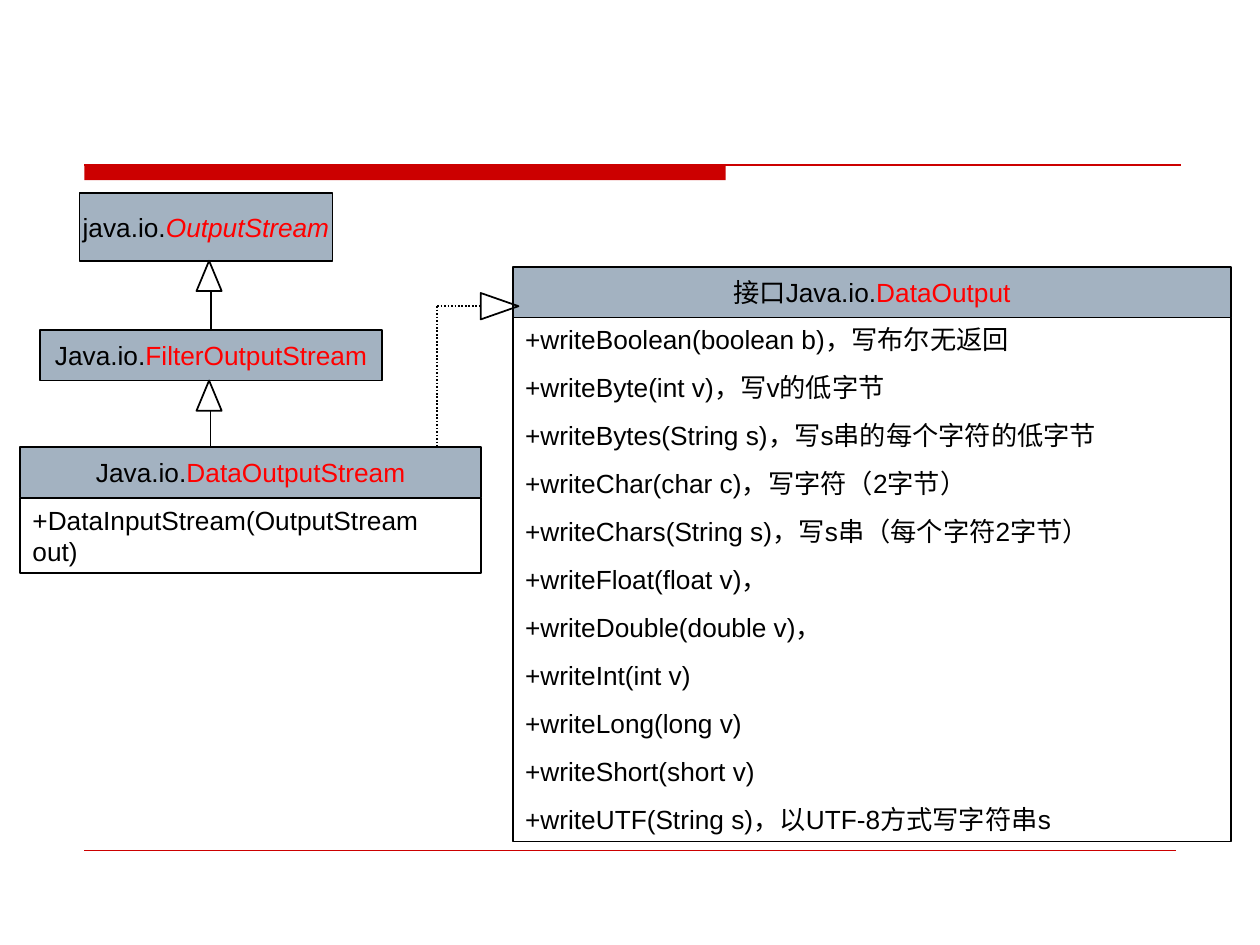
from pptx import Presentation
from pptx.dml.color import RGBColor
from pptx.enum.dml import MSO_LINE_DASH_STYLE as Dash
from pptx.enum.shapes import MSO_CONNECTOR as Link, MSO_SHAPE as Shape
from pptx.enum.text import MSO_ANCHOR as Anchor, PP_ALIGN as Align
from pptx.util import Inches, Pt

# Content: name -> (left, top, width, header height, title spans, body height, members)
CLASSES = {
    "output": (0.63, 1.53, 2.01, 0.54,
               [("java.io.", "black", False), ("OutputStream", "red", True)], 0, []),
    "filter": (0.32, 2.62, 2.71, 0.4,
               [("Java.io.", "black", False), ("FilterOutputStream", "red", False)], 0, []),
    "data": (0.16, 3.55, 3.66, 0.4,
             [("Java.io.", "black", False), ("DataOutputStream", "red", False)], 0.6,
             ["+DataInputStream(OutputStream out)"]),
    "interface": (4.07, 2.12, 5.7, 0.4,
                  [("接口Java.io.", "black", False), ("DataOutput", "red", False)], 4.16,
                  ["+writeBoolean(boolean b)，写布尔无返回",
                   "+writeByte(int v)，写v的低字节",
                   "+writeBytes(String s)，写s串的每个字符的低字节",
                   "+writeChar(char c)，写字符（2字节）",
                   "+writeChars(String s)，写s串（每个字符2字节）",
                   "+writeFloat(float v)，",
                   "+writeDouble(double v)，",
                   "+writeInt(int v)",
                   "+writeLong(long v)",
                   "+writeShort(short v)",
                   "+writeUTF(String s)，以UTF-8方式写字符串s"]),
}
COLOURS = {"black": "000000", "red": "FF0000", "header": "A3B2C1", "rule": "CC0000"}
FONT = {"name": "Arial", "size": Pt(15)}
PARENT_X = 1.67            # shared axis of the inheritance arrows
HEAD = (0.2, 0.24)         # arrowhead width and height
REALIZE_X, REALIZE_Y = 3.47, 2.43


def colour(name):
    return RGBColor.from_string(COLOURS[name])


def add_box(page, kind, left, top, width, height, fill=None, line="black"):
    box = page.shapes.add_shape(kind, *map(Inches, (left, top, width, height)))
    box.shadow.inherit = False
    if fill:
        box.fill.solid()
        box.fill.fore_color.rgb = colour(fill)
    else:
        box.fill.background()
    if line:
        box.line.color.rgb = colour(line)
        box.line.width = Pt(1)
    else:
        box.line.fill.background()
    return box


def add_line(page, x1, y1, x2, y2, name="black", width=1, dash=None):
    line = page.shapes.add_connector(Link.STRAIGHT, *map(Inches, (x1, y1, x2, y2)))
    line.line.color.rgb = colour(name)
    line.line.width = Pt(width)
    if dash:
        line.line.dash_style = dash
    props = line._element.spPr
    props.append(props.makeelement(
        "{http://schemas.openxmlformats.org/drawingml/2006/main}effectLst", {}))
    return line


def write(box, paragraphs, align, anchor, wrap):
    frame = box.text_frame
    frame.word_wrap, frame.vertical_anchor = wrap, anchor
    for index, spans in enumerate(paragraphs):
        para = frame.paragraphs[0] if index == 0 else frame.add_paragraph()
        para.alignment = align
        para.space_before = Pt(9.4 if index else 0)
        for text, name, italic in spans:
            span = para.add_run()
            span.text = text
            for key, value in {**FONT, "italic": italic}.items():
                setattr(span.font, key, value)
            span.font.color.rgb = colour(name)


def add_class(page, left, top, width, head, title, body, members):
    header = add_box(page, Shape.RECTANGLE, left, top, width, head, "header")
    write(header, [title], Align.CENTER, Anchor.MIDDLE, False)
    if members:
        box = add_box(page, Shape.RECTANGLE, left, top + head, width, body)
        write(box, [[(text, "black", False)] for text in members],
              Align.LEFT, Anchor.TOP, True)
    return header


deck = Presentation()
deck.slide_width, deck.slide_height = Inches(10), Inches(7.5)
page = deck.slides.add_slide(deck.slide_layouts[6])

# Slide rules
add_box(page, Shape.RECTANGLE, 0.67, 1.31, 5.09, 0.12, "rule", None)
add_line(page, 0.67, 1.31, 9.37, 1.31, "rule", 0.75)
add_line(page, 0.67, 6.75, 9.33, 6.75, "rule", 0.25)

# Class boxes
headers = {name: add_class(page, *spec) for name, spec in CLASSES.items()}

# Inheritance arrows, from each child up to its parent
for parent, child in (("output", "filter"), ("filter", "data")):
    tip = CLASSES[parent][1] + CLASSES[parent][3]
    add_box(page, Shape.ISOSCELES_TRIANGLE, PARENT_X - 0.11, tip, *HEAD)
    stem = add_line(page, PARENT_X, CLASSES[child][1], PARENT_X, tip + HEAD[1])
    if child == "filter":
        stem.begin_connect(headers[child], 0)
        stem.end_x = stem.begin_x

# Dotted realization arrow to the interface
arrow = add_box(page, Shape.ISOSCELES_TRIANGLE, 3.86, REALIZE_Y - 0.15, 0.21, 0.3)
arrow.rotation = 90
add_line(page, REALIZE_X, REALIZE_Y, 3.82, REALIZE_Y, dash=Dash.ROUND_DOT)
add_line(page, REALIZE_X, REALIZE_Y, REALIZE_X, CLASSES["data"][1], dash=Dash.ROUND_DOT)

deck.save("out.pptx")
